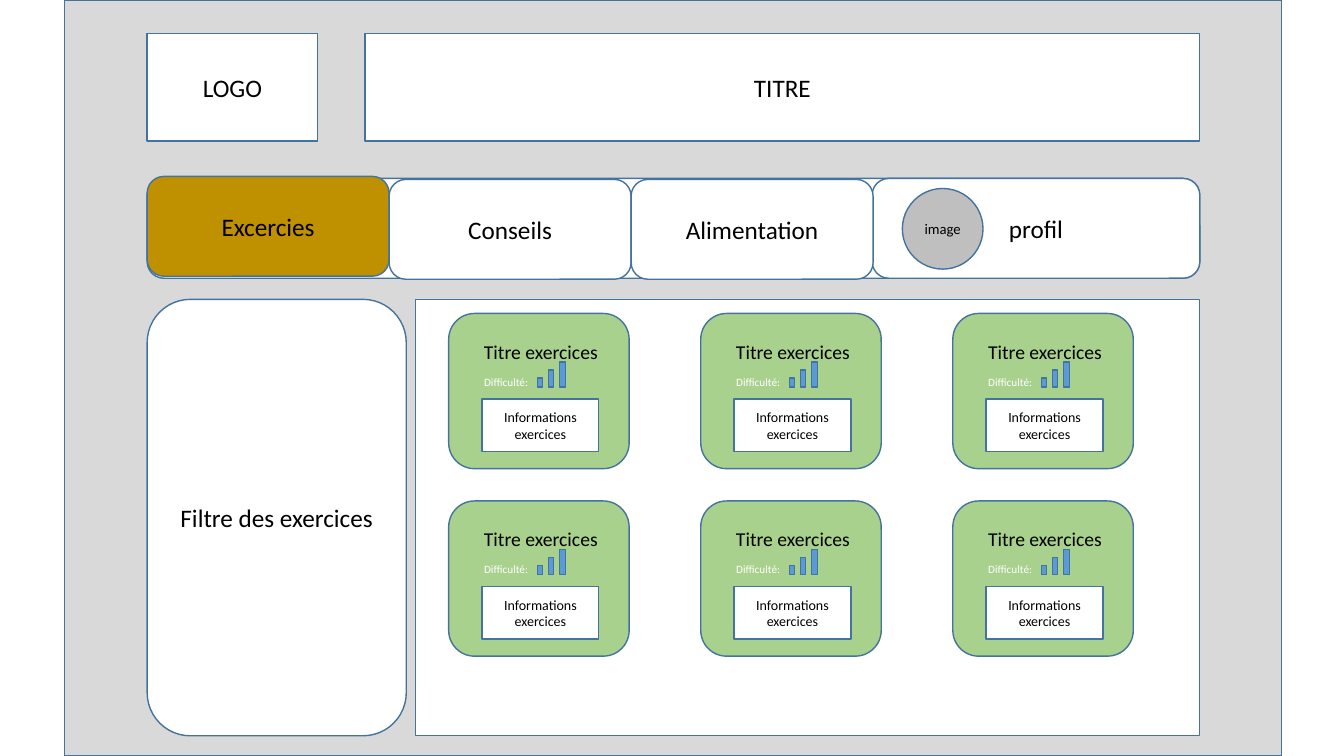
import dataclasses
import pptx
import pptx.dml.color
import pptx.enum.shapes
import pptx.enum.text
import pptx.util

Inches = pptx.util.Inches
SHAPE = pptx.enum.shapes.MSO_SHAPE
ALIGN = pptx.enum.text.PP_ALIGN
ANCHOR = pptx.enum.text.MSO_ANCHOR
AUTO = pptx.enum.text.MSO_AUTO_SIZE


@dataclasses.dataclass(frozen=True)
class Theme:
    font: str = "Calibri"
    black: str = "000000"
    white: str = "FFFFFF"
    page: str = "D9D9D9"
    line: str = "43739E"
    active: str = "BF9000"
    avatar: str = "BFBFBF"
    card: str = "A9D18E"
    bar: str = "5B9BD5"
    label: float = 18
    card_title: float = 14
    small: float = 10.5
    info: float = 10
    tiny: float = 8


def rgb(value):
    return pptx.dml.color.RGBColor.from_string(value)


class Wireframe:
    def __init__(self, prs, theme):
        self.theme = theme
        self.s = prs.slides.add_slide(prs.slide_layouts[5])

    def fill_text(self, sp, text, size, color, frame):
        tf = sp.text_frame
        for name, value in frame.items():
            setattr(tf, name, value)
        p = tf.paragraphs[0]
        p.alignment = ALIGN.CENTER
        r = p.add_run()
        r.text = text
        style = {"name": self.theme.font, "size": pptx.util.Pt(size), "bold": False}
        for name, value in style.items():
            setattr(r.font, name, value)
        r.font.color.rgb = rgb(color)

    def paint(self, sp, fill, text, size, wrap=True):
        sp.fill.solid()
        sp.fill.fore_color.rgb = rgb(fill)
        sp.line.color.rgb = rgb(self.theme.line)
        sp.line.width = pptx.util.Pt(1)
        if text:
            frame = {"word_wrap": wrap, "auto_size": AUTO.NONE, "vertical_anchor": ANCHOR.MIDDLE}
            self.fill_text(sp, text, size, self.theme.black, frame)

    def box(self, kind, x, y, w, h, fill, text="", size=None, wrap=True):
        sp = self.s.shapes.add_shape(kind, Inches(x), Inches(y), Inches(w), Inches(h))
        sp.shadow.inherit = False
        self.paint(sp, fill, text, size or self.theme.label, wrap)

    def title(self, x, y, w, h, text):
        sp = self.s.shapes.title
        place = {"left": x, "top": y, "width": w, "height": h}
        for name, value in place.items():
            setattr(sp, name, Inches(value))
        self.paint(sp, self.theme.white, text, self.theme.label)
        sp.element.getparent().append(sp.element)

    def text(self, x, y, w, h, text, size, color):
        sp = self.s.shapes.add_textbox(Inches(x), Inches(y), Inches(w), Inches(h))
        frame = {"word_wrap": True, "auto_size": AUTO.SHAPE_TO_FIT_TEXT}
        self.fill_text(sp, text, size, color, frame)

    def card(self, x, y):
        t = self.theme
        self.box(SHAPE.ROUNDED_RECTANGLE, x, y, 1.79, 1.54, t.card)
        self.text(x + 0.18, y + 0.21, 1.47, 0.34, "Titre exercices", t.card_title, t.black)
        self.text(x + 0.18, y + 0.56, 0.78, 0.24, "Difficulté:", t.tiny, t.white)
        for i, (w, h) in enumerate([(0.05, 0.09), (0.05, 0.17), (0.06, 0.25)]):
            self.box(SHAPE.RECTANGLE, x + 0.88 + 0.11 * i, y + 0.73 - h, w, h, t.bar)
        self.box(SHAPE.RECTANGLE, x + 0.33, y + 0.85, 1.16, 0.52, t.white,
                 "Informations exercices", t.info)


def main():
    prs = pptx.Presentation()
    prs.slide_width, prs.slide_height = Inches(13.33), Inches(7.5)
    t = Theme()
    page = Wireframe(prs, t)

    page.box(SHAPE.RECTANGLE, 0.64, 0, 12.07, 7.5, t.page)
    page.box(SHAPE.RECTANGLE, 1.46, 0.33, 1.69, 1.07, t.white, "LOGO")
    page.title(3.62, 0.33, 8.28, 1.07, "TITRE")

    page.box(SHAPE.ROUNDED_RECTANGLE, 1.46, 1.77, 10.44, 0.99, t.white)
    page.box(SHAPE.ROUNDED_RECTANGLE, 8.65, 1.77, 3.25, 0.99, t.white, "profil")
    tabs = [("Excercies", 1.75, t.active), ("Conseils", 1.78, t.white), ("Alimentation", 1.78, t.white)]
    for i, (label, y, fill) in enumerate(tabs):
        page.box(SHAPE.ROUNDED_RECTANGLE, 1.46 + 2.4 * i, y, 2.4, 0.99, fill, label)
    page.box(SHAPE.OVAL, 8.95, 1.87, 0.8, 0.8, t.avatar, "image", t.small, wrap=False)

    page.box(SHAPE.ROUNDED_RECTANGLE, 1.46, 2.97, 2.57, 4.33, t.white, "Filtre des exercices")
    page.box(SHAPE.RECTANGLE, 4.12, 2.97, 7.78, 4.33, t.white)
    for row in range(2):
        for col in range(3):
            page.card(4.45 + 2.5 * col, 3.11 + 1.86 * row)

    prs.save("out.pptx")


if __name__ == "__main__":
    main()
